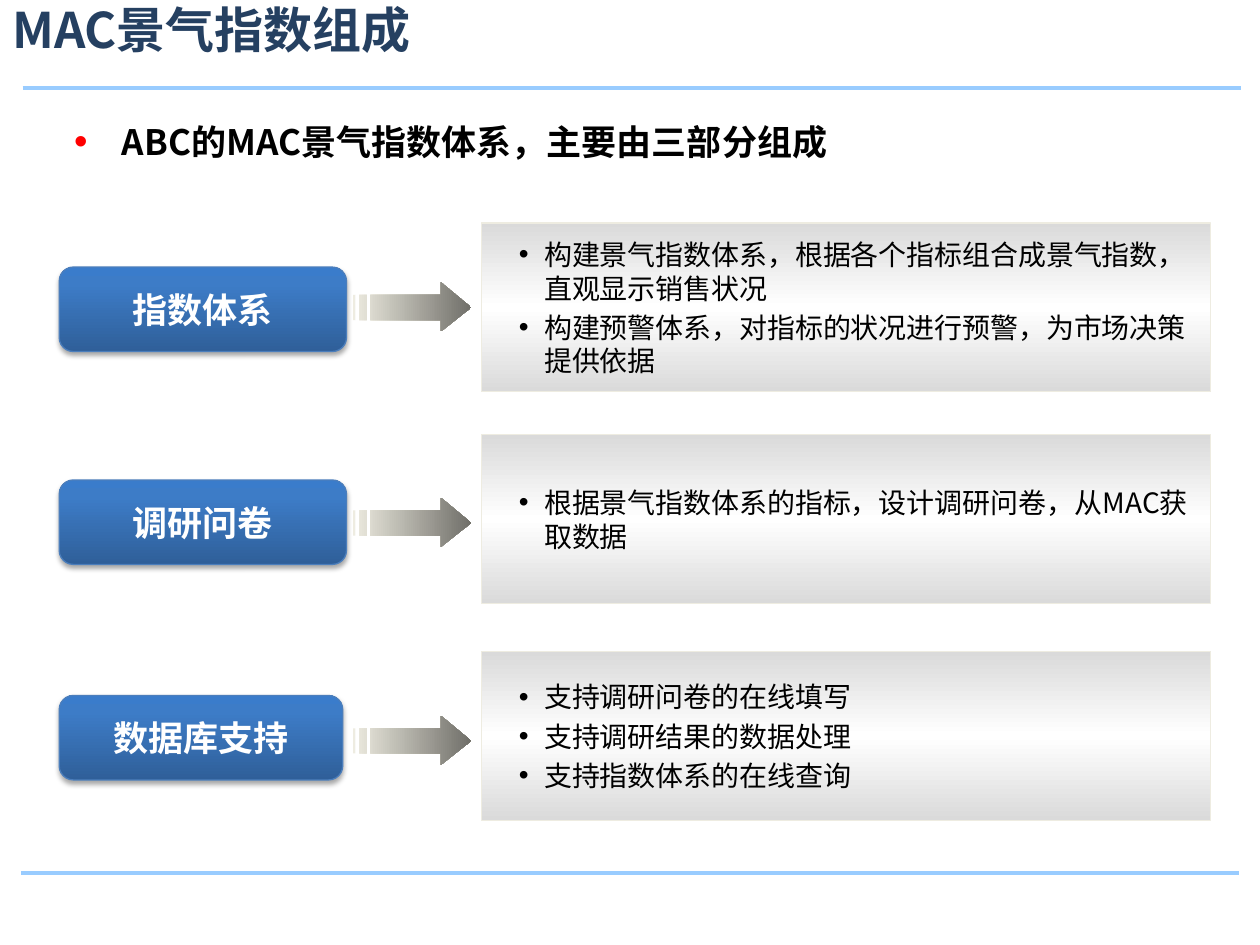
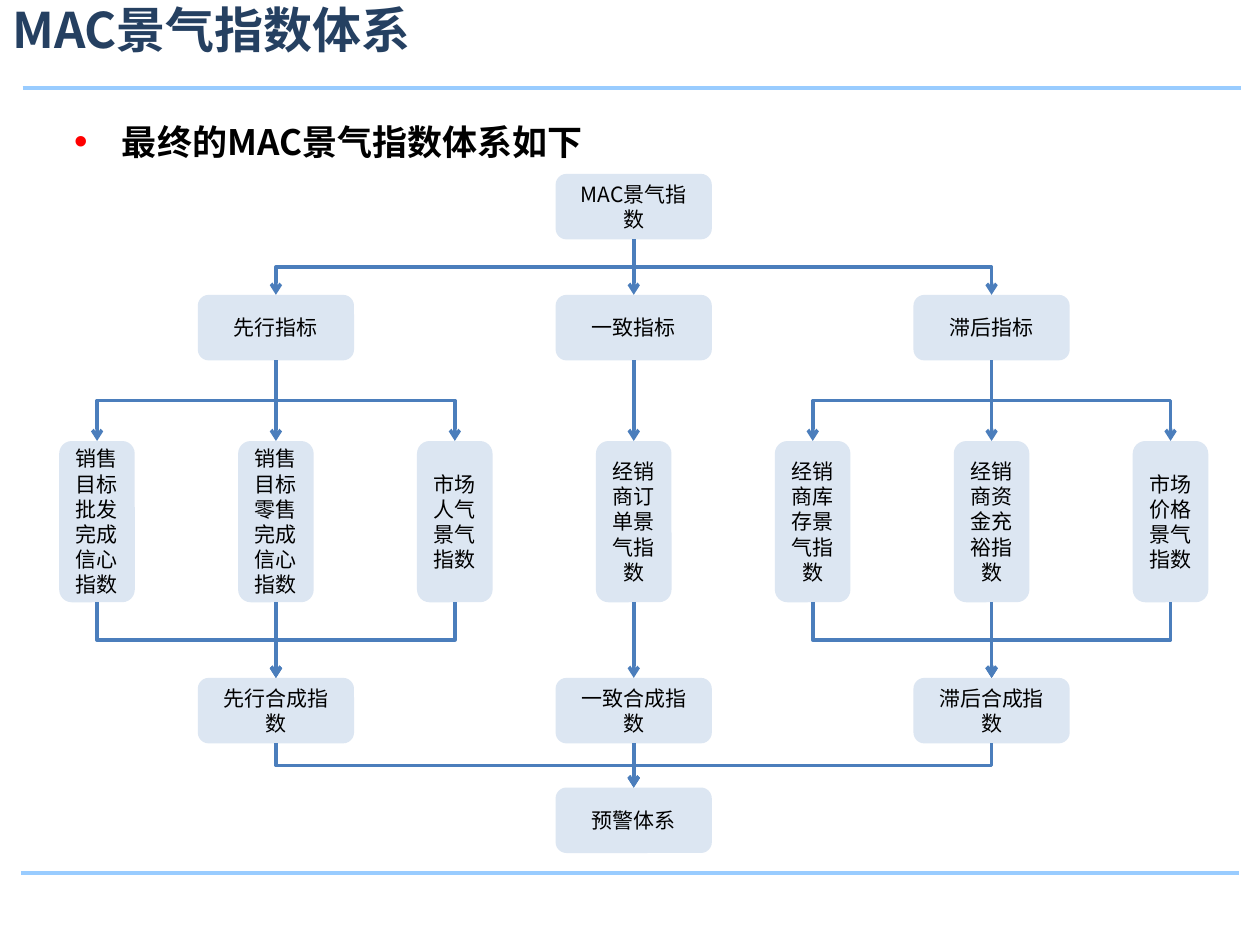
from pptx import Presentation
from pptx.dml.color import RGBColor
from pptx.enum.shapes import MSO_CONNECTOR, MSO_SHAPE
from pptx.enum.text import MSO_ANCHOR, PP_ALIGN
from pptx.oxml import parse_xml
from pptx.oxml.ns import nsdecls, qn
from pptx.util import Inches, Pt

FONT = "Noto Sans CJK SC"
NAVY = RGBColor(0x25, 0x40, 0x61)
SKY = RGBColor(0x99, 0xCC, 0xFF)
BLUE = RGBColor(0x4B, 0x7E, 0xBC)
PALE_BLUE = RGBColor(0xDC, 0xE6, 0xF2)
CREAM = RGBColor(0xEE, 0xEC, 0xE1)
STONE = RGBColor(0x70, 0x6F, 0x69)
GREY = RGBColor(0xDA, 0xDA, 0xDA)
RED = RGBColor(0xFF, 0x00, 0x00)
BLACK = RGBColor(0x00, 0x00, 0x00)
WHITE = RGBColor(0xFF, 0xFF, 0xFF)

BUTTON_STOPS = [(0, RGBColor(0x2F, 0x5F, 0x99)), (80, RGBColor(0x3D, 0x7C, 0xC7)),
                (100, RGBColor(0x3A, 0x7C, 0xCB))]
PANEL_STOPS = [(0, GREY), (50, WHITE), (100, GREY)]
ARROW_STOPS = [(0, CREAM), (100, STONE)]

# label, label width, label top, arrow top, panel top, panel lines
PARTS = [
    ("指数体系", 2.28, 2.12, 2.24, 1.77,
     ["构建景气指数体系，根据各个指标组合成景气指数，直观显示销售状况",
      "构建预警体系，对指标的状况进行预警，为市场决策提供依据"]),
    ("调研问卷", 2.28, 3.81, 3.95, 3.45,
     ["根据景气指数体系的指标，设计调研问卷，从MAC获取数据"]),
    ("数据库支持", 2.25, 5.52, 5.68, 5.17,
     ["支持调研问卷的在线填写", "支持调研结果的数据处理", "支持指数体系的在线查询"]),
]

# indicator, its indexes, the composite index they form
BRANCHES = [
    ("先行指标", ["销售目标批发完成信心指数", "销售目标零售完成信心指数", "市场人气景气指数"],
     "先行合成指数"),
    ("一致指标", ["经销商订单景气指数"], "一致合成指数"),
    ("滞后指标", ["经销商库存景气指数", "经销商资金充裕指数", "市场价格景气指数"],
     "滞后合成指数"),
]
NODE_SIZE = (1.24, 0.52)
INDEX_SIZE = (0.6, 1.28)
FIRST_CENTRE, CENTRE_STEP = 0.77, 1.42
ROOT_TOP, INDICATOR_TOP, INDEX_TOP, COMPOSITE_TOP, WARNING_TOP = 1.38, 2.34, 3.5, 5.38, 6.25


def add_run(paragraph, text, size, color, bold=False):
    """Add one run in the deck's font."""
    run = paragraph.add_run()
    run.text = text
    run.font.name = FONT
    run.font.size = Pt(size)
    run.font.bold = bold
    run.font.color.rgb = color
    east_asian = run._r.get_or_add_rPr().makeelement(qn("a:ea"), {"typeface": FONT})
    run._r.rPr.find(qn("a:latin")).addnext(east_asian)


def set_bullet(paragraph, margin, hanging, color=None, percent=100):
    """Give a paragraph a hanging round bullet."""
    properties = paragraph._p.get_or_add_pPr()
    properties.set("marL", str(Inches(margin)))
    properties.set("indent", str(-Inches(hanging)))
    if color is not None:
        properties.append(parse_xml(
            f'<a:buClr {nsdecls("a")}><a:srgbClr val="{color}"/></a:buClr>'))
    properties.append(parse_xml(f'<a:buSzPct {nsdecls("a")} val="{percent * 1000}"/>'))
    properties.append(parse_xml(f'<a:buFont {nsdecls("a")} typeface="Arial"/>'))
    properties.append(parse_xml(f'<a:buChar {nsdecls("a")} char="•"/>'))


def set_gradient(shape, stops, angle):
    """Fill a shape with a linear gradient of (percent, colour) stops."""
    shape.fill.solid()
    properties = shape._element.spPr
    stop_xml = "".join(f'<a:gs pos="{position * 1000}"><a:srgbClr val="{color}"/></a:gs>'
                       for position, color in stops)
    gradient = parse_xml(f'<a:gradFill {nsdecls("a")} rotWithShape="1"><a:gsLst>{stop_xml}'
                         f'</a:gsLst><a:lin ang="{angle * 60000}" scaled="0"/></a:gradFill>')
    properties.replace(properties.find(qn("a:solidFill")), gradient)


def set_outline(shape, color):
    """Draw a thin outline."""
    shape.line.color.rgb = color
    shape.line.width = Pt(0.75)


def add_drop_shadow(shape):
    """Put a soft shadow below a shape."""
    shape._element.spPr.find(qn("a:effectLst")).append(parse_xml(
        f'<a:outerShdw {nsdecls("a")} blurRad="{Pt(3.1)}" dist="{Pt(1.8)}" dir="5400000" '
        'rotWithShape="0"><a:srgbClr val="000000"><a:alpha val="35000"/></a:srgbClr>'
        '</a:outerShdw>'))


def add_box(slide, kind, left, top, width, height):
    """Add a flat shape whose text wraps and sits in the middle."""
    shape = slide.shapes.add_shape(kind, Inches(left), Inches(top),
                                   Inches(width), Inches(height))
    shape.shadow.inherit = False
    shape.text_frame.word_wrap = True
    shape.text_frame.vertical_anchor = MSO_ANCHOR.MIDDLE
    return shape


def add_centred_text(shape, text, size, color, bold=False):
    """Write one centred paragraph into a shape."""
    paragraph = shape.text_frame.paragraphs[0]
    paragraph.alignment = PP_ALIGN.CENTER
    add_run(paragraph, text, size, color, bold)


def add_text_box(slide, left, top, width, height):
    """Add a wrapping text box and return its text frame."""
    box = slide.shapes.add_textbox(Inches(left), Inches(top), Inches(width), Inches(height))
    box.text_frame.word_wrap = True
    return box.text_frame


def add_line(slide, kind, start, end, color, width):
    """Add a connector between two points, without shadow."""
    line = slide.shapes.add_connector(kind, *[Inches(value) for value in (*start, *end)])
    line.line.color.rgb = color
    line.line.width = Pt(width)
    line._element.spPr.append(parse_xml(f'<a:effectLst {nsdecls("a")}/>'))
    return line


def add_flow(slide, start, end):
    """Add an arrow downwards, with two bends where the ends are not in line."""
    (start_x, start_y), (end_x, end_y) = start, end
    across, down = abs(end_x - start_x), end_y - start_y
    if across < 0.01:
        line = add_line(slide, MSO_CONNECTOR.STRAIGHT, start, end, BLUE, 2)
    else:
        left = (start_x + end_x - down) / 2
        top = (start_y + end_y - across) / 2
        line = add_line(slide, MSO_CONNECTOR.ELBOW, (left, top),
                        (left + down, top + across), BLUE, 2)
        frame = line._element.spPr.find(qn("a:xfrm"))
        if end_x < start_x:
            frame.set("rot", "5400000")
        else:
            frame.set("rot", "16200000")
            frame.set("flipH", "1")
    line.line._get_or_add_ln().append(
        parse_xml(f'<a:tailEnd {nsdecls("a")} type="arrow"/>'))


def add_slide(presentation, title, lead):
    """Add a slide with the shared rules, title and lead sentence."""
    slide = presentation.slides.add_slide(presentation.slide_layouts[6])
    add_line(slide, MSO_CONNECTOR.STRAIGHT, (0.18, 0.7), (9.85, 0.7), SKY, 2.25)
    add_line(slide, MSO_CONNECTOR.STRAIGHT, (0.17, 6.93), (9.83, 6.93), SKY, 2.25)
    frame = add_text_box(slide, 0, 0, 9.8, 0.64)
    frame.margin_top = frame.margin_bottom = 0
    add_run(frame.paragraphs[0], title, 28, NAVY, bold=True)
    paragraph = add_text_box(slide, 0.49, 0.84, 9, 1.02).paragraphs[0]
    paragraph.line_spacing = 1.2
    paragraph.space_before = Pt(6)
    set_bullet(paragraph, 0.38, 0.38, RED, 110)
    add_run(paragraph, lead, 20, BLACK, bold=True)
    return slide


def add_button(slide, text, top, width):
    """Add a glossy blue label."""
    button = add_box(slide, MSO_SHAPE.ROUNDED_RECTANGLE, 0.47, top, width, 0.67)
    set_gradient(button, BUTTON_STOPS, 270)
    set_outline(button, BLUE)
    add_drop_shadow(button)
    add_centred_text(button, text, 20, WHITE, bold=True)


def add_striped_arrow(slide, top):
    """Add an arrow to the right with two stripes at its tail."""
    upper, lower = top + 0.1, top + 0.3
    outlines = [[(3.5, top), (3.5, upper), (2.94, upper), (2.94, lower), (3.5, lower),
                 (3.5, top + 0.39), (3.74, top + 0.2)]]
    for left, right in ((2.85, 2.91), (2.8, 2.82)):
        outlines.append([(left, upper), (left, lower), (right, lower), (right, upper)])
    outlines = [[(Inches(x), Inches(y)) for x, y in outline] for outline in outlines]
    builder = slide.shapes.build_freeform(*outlines[0][0])
    builder.add_line_segments(outlines[0][1:], close=True)
    for outline in outlines[1:]:
        builder.move_to(*outline[0])
        builder.add_line_segments(outline[1:], close=True)
    arrow = builder.convert_to_shape()
    arrow.shadow.inherit = False
    set_gradient(arrow, ARROW_STOPS, 0)
    arrow.line.fill.background()


def add_panel(slide, top, lines):
    """Add a shaded panel with bulleted lines."""
    panel = add_box(slide, MSO_SHAPE.RECTANGLE, 3.82, top, 5.79, 1.34)
    set_gradient(panel, PANEL_STOPS, 90)
    set_outline(panel, CREAM)
    frame = panel.text_frame
    for number, text in enumerate(lines):
        paragraph = frame.add_paragraph() if number else frame.paragraphs[0]
        paragraph.alignment = PP_ALIGN.LEFT
        paragraph.space_before = Pt(3.2)
        set_bullet(paragraph, 0.4, 0.2)
        add_run(paragraph, text, 16, BLACK)


def add_node(slide, text, centre, top, size=NODE_SIZE):
    """Add a pale node and return the points where arrows enter and leave."""
    width, height = size
    node = add_box(slide, MSO_SHAPE.ROUNDED_RECTANGLE, centre - width / 2, top, width, height)
    node.fill.solid()
    node.fill.fore_color.rgb = PALE_BLUE
    node.line.fill.background()
    add_centred_text(node, text, 12, BLACK)
    return (centre, top), (centre, top + height)


def build_parts_slide(presentation):
    """Build the slide with the three parts of the index."""
    slide = add_slide(presentation, "MAC景气指数组成", "ABC的MAC景气指数体系，主要由三部分组成")
    for label, width, label_top, arrow_top, panel_top, lines in PARTS:
        add_button(slide, label, label_top, width)
        add_striped_arrow(slide, arrow_top)
        add_panel(slide, panel_top, lines)


def build_system_slide(presentation):
    """Build the slide with the tree of indexes."""
    slide = add_slide(presentation, "MAC景气指数体系", "最终的MAC景气指数体系如下")
    middle = FIRST_CENTRE + 3 * CENTRE_STEP
    root_exit = add_node(slide, "MAC景气指数", middle, ROOT_TOP)[1]
    warning_entry = add_node(slide, "预警体系", middle, WARNING_TOP)[0]
    column = 0
    for indicator, indexes, composite in BRANCHES:
        centres = [FIRST_CENTRE + (column + number) * CENTRE_STEP
                   for number in range(len(indexes))]
        column += len(indexes)
        centre = centres[len(centres) // 2]
        indicator_entry, indicator_exit = add_node(slide, indicator, centre, INDICATOR_TOP)
        composite_entry, composite_exit = add_node(slide, composite, centre, COMPOSITE_TOP)
        add_flow(slide, root_exit, indicator_entry)
        for index, index_centre in zip(indexes, centres):
            entry, leave = add_node(slide, index, index_centre, INDEX_TOP, INDEX_SIZE)
            add_flow(slide, indicator_exit, entry)
            add_flow(slide, leave, composite_entry)
        add_flow(slide, composite_exit, warning_entry)


def main():
    """Build both slides and save them."""
    presentation = Presentation()
    presentation.slide_width = Inches(10)
    presentation.slide_height = Inches(7.5)
    build_parts_slide(presentation)
    build_system_slide(presentation)
    presentation.save("out.pptx")


main()
